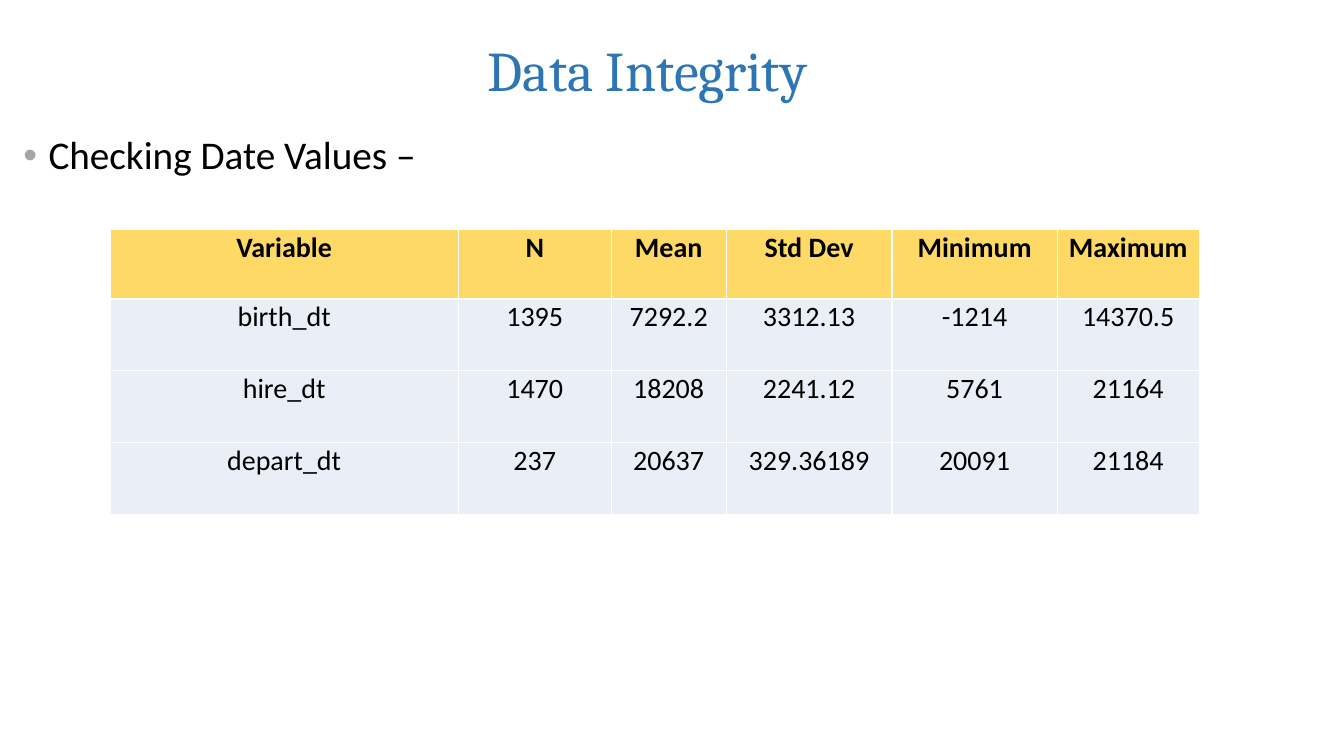
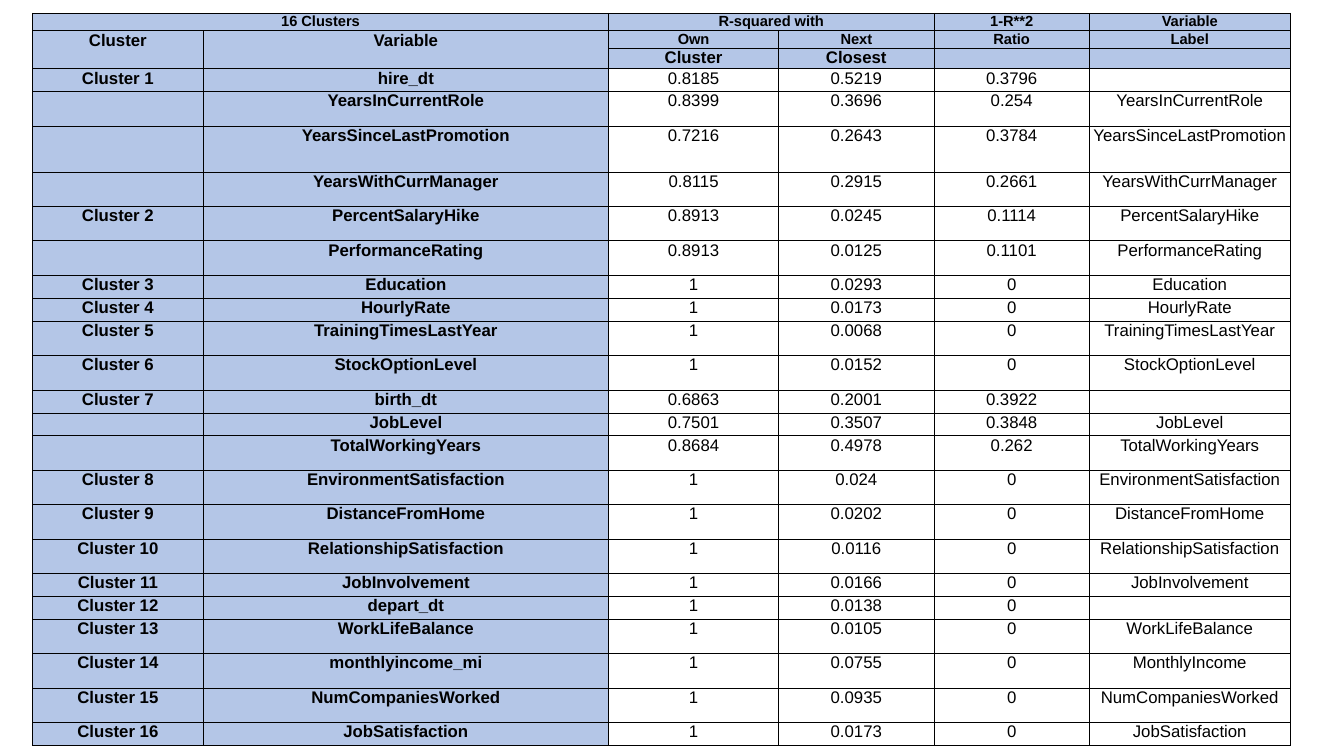
from dataclasses import dataclass

from lxml.etree import SubElement
from pptx import Presentation
from pptx.dml.color import RGBColor
from pptx.enum.text import MSO_ANCHOR, PP_ALIGN
from pptx.oxml.ns import qn
from pptx.util import Pt


@dataclass(frozen=True)
class Theme:
    title_font: str = "Cambria"
    text_font: str = "Calibri"
    cluster_font: str = "Arial"
    title_size: float = 40
    text_size: float = 28
    stats_size: float = 20
    cluster_size: float = 12
    heading_size: float = 10.5
    title: str = "2E75B6"
    ink: str = "000000"
    bullet: str = "A5A5A5"
    white: str = "FFFFFF"
    gold: str = "FFD966"
    pale: str = "EAEFF7"
    blue: str = "B4C6E7"


theme = Theme()


def add_text(paragraph, text, font, size, color, bold=False):
    run = paragraph.add_run()
    run.text = text
    run.font.name = font
    run.font.size = Pt(size)
    run.font.bold = bold
    run.font.color.rgb = RGBColor.from_string(color)


def fill_cell(cell, text, font, size, bold, fill, border, border_width, inset):
    cell.margin_left = cell.margin_right = cell.margin_top = Pt(inset)
    cell.margin_bottom = 0
    cell.vertical_anchor = MSO_ANCHOR.TOP
    properties = cell._tc.get_or_add_tcPr()
    for side in ("a:lnL", "a:lnR", "a:lnT", "a:lnB"):
        line = SubElement(properties, qn(side), w=str(Pt(border_width)))
        SubElement(SubElement(line, qn("a:solidFill")), qn("a:srgbClr"), val=border)
    if fill:
        cell.fill.solid()
        cell.fill.fore_color.rgb = RGBColor.from_string(fill)
    else:
        cell.fill.background()
    paragraph = cell.text_frame.paragraphs[0]
    paragraph.alignment = PP_ALIGN.CENTER
    if text:
        add_text(paragraph, text, font, size, theme.ink, bold)
    else:
        SubElement(paragraph._p, qn("a:endParaRPr"), sz=str(int(size * 100)))


deck = Presentation()
deck.slide_width, deck.slide_height = Pt(960), Pt(540)

integrity = deck.slides.add_slide(deck.slide_layouts[1])
heading = integrity.shapes.title
heading.left, heading.top, heading.width, heading.height = Pt(31), Pt(16.5), Pt(863), Pt(65.5)
heading.text_frame.vertical_anchor = MSO_ANCHOR.MIDDLE
heading_line = heading.text_frame.paragraphs[0]
heading_line.alignment = PP_ALIGN.CENTER
add_text(heading_line, "Data Integrity", theme.title_font, theme.title_size, theme.title)

checks = integrity.placeholders[1]
checks.left, checks.top, checks.width, checks.height = Pt(9.5), Pt(93.5), Pt(938), Pt(442)
checks.text_frame.vertical_anchor = MSO_ANCHOR.TOP
check = checks.text_frame.paragraphs[0]
check.line_spacing = 0.9
check.space_before = Pt(0)
bullet = check._p.get_or_add_pPr()
bullet.set("marL", str(Pt(18)))
bullet.set("indent", str(Pt(-18)))
SubElement(SubElement(bullet, qn("a:buClr")), qn("a:srgbClr"), val=theme.bullet)
SubElement(bullet, qn("a:buFont"), typeface="Arial")
SubElement(bullet, qn("a:buChar"), char="•")
add_text(check, "Checking Date Values –", theme.text_font, theme.text_size, theme.ink)

date_stats = [
    ("Variable", "N", "Mean", "Std Dev", "Minimum", "Maximum"),
    ("birth_dt", "1395", "7292.2", "3312.13", "-1214", "14370.5"),
    ("hire_dt", "1470", "18208", "2241.12", "5761", "21164"),
    ("depart_dt", "237", "20637", "329.36189", "20091", "21184"),
]
stats_widths = [248.5, 109.5, 82, 118.5, 118, 101.5]
stats_heights = [49.5] + [51.4] * 3
stats = integrity.shapes.add_table(
    len(date_stats), len(stats_widths), Pt(78.75), Pt(164),
    Pt(sum(stats_widths)), Pt(sum(stats_heights))).table
for column, width in zip(stats.columns, stats_widths):
    column.width = Pt(width)
for r, (values, height) in enumerate(zip(date_stats, stats_heights)):
    stats.rows[r].height = Pt(height)
    for c, value in enumerate(values):
        fill_cell(stats.cell(r, c), value, theme.text_font, theme.stats_size, r == 0,
                  theme.pale if r else theme.gold, theme.white, 1, 0.72)

clustering = deck.slides.add_slide(deck.slide_layouts[6])
cluster_headings = [
    (12.5, theme.heading_size, ("16 Clusters", "", "R-squared with", "", "1-R**2", "Variable")),
    (12.5, theme.heading_size, ("Cluster", "Variable", "Own", "Next", "Ratio", "Label")),
    (14.2, theme.cluster_size, ("", "", "Cluster", "Closest", "", "")),
]
cluster_members = [
    (1, "Cluster 1", "hire_dt", "0.8185", "0.5219", "0.3796", ""),
    (2, "", "YearsInCurrentRole", "0.8399", "0.3696", "0.254", "YearsInCurrentRole"),
    (3, "", "YearsSinceLastPromotion", "0.7216", "0.2643", "0.3784", "YearsSinceLastPromotion"),
    (2, "", "YearsWithCurrManager", "0.8115", "0.2915", "0.2661", "YearsWithCurrManager"),
    (2, "Cluster 2", "PercentSalaryHike", "0.8913", "0.0245", "0.1114", "PercentSalaryHike"),
    (2, "", "PerformanceRating", "0.8913", "0.0125", "0.1101", "PerformanceRating"),
    (1, "Cluster 3", "Education", "1", "0.0293", "0", "Education"),
    (1, "Cluster 4", "HourlyRate", "1", "0.0173", "0", "HourlyRate"),
    (2, "Cluster 5", "TrainingTimesLastYear", "1", "0.0068", "0", "TrainingTimesLastYear"),
    (2, "Cluster 6", "StockOptionLevel", "1", "0.0152", "0", "StockOptionLevel"),
    (1, "Cluster 7", "birth_dt", "0.6863", "0.2001", "0.3922", ""),
    (1, "", "JobLevel", "0.7501", "0.3507", "0.3848", "JobLevel"),
    (2, "", "TotalWorkingYears", "0.8684", "0.4978", "0.262", "TotalWorkingYears"),
    (2, "Cluster 8", "EnvironmentSatisfaction", "1", "0.024", "0", "EnvironmentSatisfaction"),
    (2, "Cluster 9", "DistanceFromHome", "1", "0.0202", "0", "DistanceFromHome"),
    (2, "Cluster 10", "RelationshipSatisfaction", "1", "0.0116", "0", "RelationshipSatisfaction"),
    (1, "Cluster 11", "JobInvolvement", "1", "0.0166", "0", "JobInvolvement"),
    (1, "Cluster 12", "depart_dt", "1", "0.0138", "0", ""),
    (2, "Cluster 13", "WorkLifeBalance", "1", "0.0105", "0", "WorkLifeBalance"),
    (2, "Cluster 14", "monthlyincome_mi", "1", "0.0755", "0", "MonthlyIncome"),
    (2, "Cluster 15", "NumCompaniesWorked", "1", "0.0935", "0", "NumCompaniesWorked"),
    (1, "Cluster 16", "JobSatisfaction", "1", "0.0173", "0", "JobSatisfaction"),
]
cluster_rows = cluster_headings + [
    (8.2 * (lines + 1), theme.cluster_size, values) for lines, *values in cluster_members]
cluster_widths = [122, 289.5, 121.5, 111, 111, 143.5]
clusters = clustering.shapes.add_table(
    len(cluster_rows), len(cluster_widths), Pt(23.25), Pt(9.5), Pt(sum(cluster_widths)),
    Pt(sum(height for height, size, values in cluster_rows))).table
for column, width in zip(clusters.columns, cluster_widths):
    column.width = Pt(width)
for top, left, bottom, right in [(0, 0, 0, 1), (0, 2, 0, 3), (1, 0, 2, 0), (1, 1, 2, 1)]:
    clusters.cell(top, left).merge(clusters.cell(bottom, right))
for r, (height, row_size, values) in enumerate(cluster_rows):
    clusters.rows[r].height = Pt(height)
    for c, value in enumerate(values):
        cell = clusters.cell(r, c)
        size = theme.cluster_size if cell.is_merge_origin and r == 1 else row_size
        is_heading = r < len(cluster_headings) or c < 2
        fill_cell(cell, value, theme.cluster_font, size, is_heading,
                  theme.blue if is_heading else None, theme.ink, 0.5, 0)

deck.save("out.pptx")
